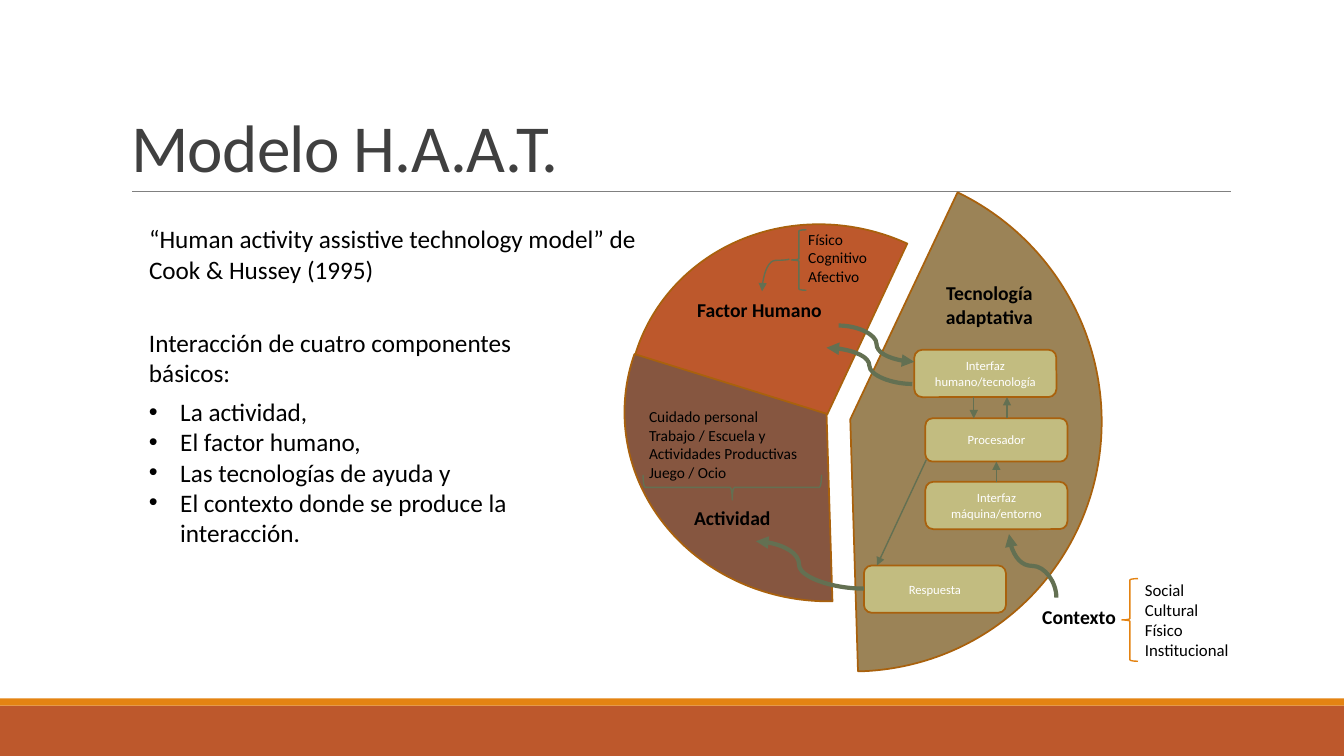
import dataclasses

import lxml.etree
import pptx
import pptx.dml.color
import pptx.enum.shapes
import pptx.enum.text
import pptx.oxml.ns
import pptx.util

SHAPE = pptx.enum.shapes.MSO_SHAPE
CONNECTOR = pptx.enum.shapes.MSO_CONNECTOR
ALIGN = pptx.enum.text.PP_ALIGN
ANCHOR = pptx.enum.text.MSO_ANCHOR
ROWS = 75
COLUMNS = 133.33


@dataclasses.dataclass(frozen=True)
class Theme:
    """Colours, font and type sizes of the slide."""
    font: str = "Calibri"
    title: str = "404040"
    ink: str = "000000"
    paper: str = "FFFFFF"
    rule: str = "808080"
    rust: str = "BD582C"
    orange: str = "E48312"
    brown: str = "865640"
    sand: str = "9B8357"
    olive: str = "C2BC80"
    edge: str = "A9610D"
    arrow: str = "637052"
    title_size: int = 48
    body_size: int = 18
    label_size: int = 14
    context_size: int = 12
    list_size: int = 11
    box_size: int = 9


THEME = Theme()


def grid(cells):
    """Turn a count of square grid cells into a length."""
    return pptx.util.Inches(cells * 7.5 / ROWS)


def rgb(value):
    """Make a colour from its hexadecimal text."""
    return pptx.dml.color.RGBColor.from_string(value)


def add_element(parent, tag, **attributes):
    """Append a drawing element with its attributes."""
    return lxml.etree.SubElement(parent, pptx.oxml.ns.qn(tag), attributes)


def style_paragraph(para, size, color, bold=False, align=ALIGN.LEFT):
    """Set the alignment and font of a paragraph."""
    para.alignment = align
    para.font.name = THEME.font
    para.font.size = pptx.util.Pt(size)
    para.font.bold = bold
    para.font.color.rgb = rgb(color)


def add_bullet(para):
    """Give a paragraph a hanging round bullet."""
    properties = para._p.get_or_add_pPr()
    properties.set("marL", str(pptx.util.Inches(0.31)))
    properties.set("indent", str(-pptx.util.Inches(0.31)))
    add_element(properties, "a:buFont", typeface="Arial")
    add_element(properties, "a:buChar", char="•")


def write_lines(frame, lines, size, color, bold=False, align=ALIGN.LEFT, bulleted=False):
    """Write one paragraph a line, with bullets after the first if asked."""
    frame.word_wrap = True
    for index, line in enumerate(lines):
        para = frame.add_paragraph() if index else frame.paragraphs[0]
        para.text = line
        if bulleted and index:
            add_bullet(para)
        elif bulleted:
            para.space_after = pptx.util.Pt(6)
        style_paragraph(para, size, color, bold, align)


def add_text(page, area, lines, size, **options):
    """Add a text box in black."""
    box = page.shapes.add_textbox(*map(grid, area))
    write_lines(box.text_frame, lines, size, THEME.ink, **options)


def add_label(page, area, text):
    """Add a bold centred component name."""
    add_text(page, area, [text], THEME.label_size, bold=True, align=ALIGN.CENTER)


def add_figure(page, kind, area, fill=None, line=None, weight=1.25, turn=0):
    """Add a preset shape with optional fill and outline."""
    figure = page.shapes.add_shape(kind, *map(grid, area))
    figure.shadow.inherit = False
    figure.rotation = turn
    if fill:
        figure.fill.solid()
        figure.fill.fore_color.rgb = rgb(fill)
    else:
        figure.fill.background()
    if line:
        figure.line.color.rgb = rgb(line)
        figure.line.width = pptx.util.Pt(weight)
    else:
        figure.line.fill.background()
    return figure


def add_sector(page, area, fill, turn, angles):
    """Add a pie sector running between two angles in degrees."""
    sector = add_figure(page, SHAPE.PIE, area, fill, THEME.edge, turn=turn)
    for index, angle in enumerate(angles):
        sector.adjustments[index] = angle * 0.6


def add_process(page, area, lines):
    """Add a rounded process box."""
    box = add_figure(page, SHAPE.ROUNDED_RECTANGLE, area, THEME.olive, THEME.edge)
    box.text_frame.vertical_anchor = ANCHOR.MIDDLE
    write_lines(box.text_frame, lines, THEME.box_size, THEME.paper, align=ALIGN.CENTER)
    return box


def add_line(page, start, end, color, weight, kind=CONNECTOR.STRAIGHT, head=True):
    """Add a connector, with an arrowhead at its end if asked."""
    line = page.shapes.add_connector(kind, *map(grid, (*start, *end)))
    line.line.color.rgb = rgb(color)
    line.line.width = pptx.util.Pt(weight)
    if head:
        add_element(line.line._get_or_add_ln(), "a:tailEnd", type="triangle")
    add_element(line._element.spPr, "a:effectLst")
    return line


def add_curve(page, start, end, weight=3, bend=0.5, upright=False):
    """Add a curved arrow that leaves sideways, or upright by a quarter turn."""
    turn = 0
    if upright:
        across, down = end[0] - start[0], end[1] - start[1]
        middle = (start[0] + end[0]) / 2, (start[1] + end[1]) / 2
        turn = 90 if down > 0 else 270
        half = abs(down) / 2, (-across if down > 0 else across) / 2
        start = middle[0] - half[0], middle[1] - half[1]
        end = middle[0] + half[0], middle[1] + half[1]
    curve = add_line(page, start, end, THEME.arrow, weight, CONNECTOR.CURVE)
    properties = curve._element.spPr
    if turn:
        properties.find(pptx.oxml.ns.qn("a:xfrm")).set("rot", str(turn * 60000))
    values = properties.find(".//" + pptx.oxml.ns.qn("a:avLst"))
    add_element(values, "a:gd", name="adj1", fmla=f"val {round(bend * 100000)}")


def set_title(page, text):
    """Place and format the title."""
    title = page.shapes.title
    title.left, title.top, title.width, title.height = map(grid, (12, 3.1, 110, 15.9))
    frame = title.text_frame
    frame.auto_size = pptx.enum.text.MSO_AUTO_SIZE.NONE
    frame.vertical_anchor = ANCHOR.BOTTOM
    write_lines(frame, [text], THEME.title_size, THEME.title)
    para = frame.paragraphs[0]
    para.line_spacing = 0.85
    para.runs[0].font._element.set("spc", "-50")


def add_model(page):
    """Draw the sectors, process boxes and labels of the model."""
    add_sector(page, (62.1, 22.4, 39.9, 37.5), THEME.rust, 20.5, (176.8, 274.6))
    add_sector(page, (63.4, 21, 37.2, 40.1), THEME.brown, 273.3, (174.89, 283.98))
    add_sector(page, (59.5, 16.5, 49.7, 50.2), THEME.sand, 143.5, (151.8, 304.75))
    add_process(page, (90.7, 34.7, 14.1, 4.7), ["Interfaz", "humano/tecnología"])
    processor = add_process(page, (91.8, 41.5, 14.1, 4.3), ["Procesador"])
    sensor = add_process(page, (91.8, 47.8, 14.1, 4.7), ["Interfaz máquina/entorno"])
    add_process(page, (85.7, 56.1, 14.1, 4.7), ["Respuesta"])
    add_label(page, (90.9, 27.4, 14.5, 5.7), "Tecnología adaptativa")
    add_label(page, (68, 29.1, 14.7, 5.7), "Factor Humano")
    add_label(page, (65.4, 49.7, 14.5, 3.4), "Actividad")
    add_label(page, (99.8, 59.5, 14.5, 3.4), "Contexto")
    add_curve(page, (83.2, 32.3), (90.7, 35.9))
    add_curve(page, (90.5, 38.1), (82, 34.5))
    add_curve(page, (85.7, 58.4), (75, 53.7), bend=0.6)
    add_curve(page, (104.8, 59.3), (100.1, 53), upright=True)
    for start, end in (((96.6, 39.4), (96.6, 41.5)), ((99.9, 41.5), (99.9, 39.4)),
                       ((91.9, 45.6), (87, 56.1))):
        add_line(page, start, end, THEME.arrow, 1)
    rise = add_line(page, (98.8, 47.8), (98.8, 45.8), THEME.arrow, 1)
    rise.begin_connect(sensor, 0)
    rise.end_connect(processor, 2)


def add_details(page):
    """Add the braced lists that describe each component."""
    add_text(page, (79.2, 22.3, 9, 6.6), ["Físico", "Cognitivo", "Afectivo"], THEME.list_size)
    add_figure(page, SHAPE.LEFT_BRACE, (78.5, 22.8, 1.5, 6), line=THEME.arrow, weight=1)
    add_curve(page, (78.3, 25.7), (75.6, 28.9), weight=1, bend=0.04, upright=True)
    add_text(page, (63.4, 39.9, 20.5, 8.4), [
        "Cuidado personal", "Trabajo / Escuela y Actividades Productivas", "Juego / Ocio",
    ], THEME.list_size)
    add_figure(page, SHAPE.LEFT_BRACE, (71.4, 39.5, 2.5, 17.7), line=THEME.arrow,
               weight=1, turn=270)
    add_text(page, (112.6, 57, 14.3, 9.1), ["Social", "Cultural", "Físico", "Institucional"],
             THEME.context_size)
    add_figure(page, SHAPE.LEFT_BRACE, (111.3, 57.4, 1.6, 8.2), line=THEME.orange, weight=1)


def main():
    """Build the slide and save it."""
    deck = pptx.Presentation()
    deck.slide_width, deck.slide_height = grid(COLUMNS), grid(ROWS)
    page = deck.slides.add_slide(deck.slide_layouts[5])
    add_figure(page, SHAPE.RECTANGLE, (0, 70, COLUMNS, 5), THEME.rust)
    add_figure(page, SHAPE.RECTANGLE, (0, 69.3, COLUMNS, 0.7), THEME.orange)
    add_line(page, (13.1, 19), (122.1, 19), THEME.rule, 0.5, head=False)
    set_title(page, "Modelo H.A.A.T.")
    add_model(page)
    add_text(page, (13.8, 21.7, 54.2, 7.1), [
        "“Human activity assistive technology model” de Cook & Hussey (1995)",
    ], THEME.body_size)
    add_text(page, (13.8, 32, 42.6, 23.1), [
        "Interacción de cuatro componentes básicos:", "La actividad,", "El factor humano,",
        "Las tecnologías de ayuda y", "El contexto donde se produce la interacción.",
    ], THEME.body_size, bulleted=True)
    add_details(page)
    deck.save("out.pptx")


if __name__ == "__main__":
    main()
